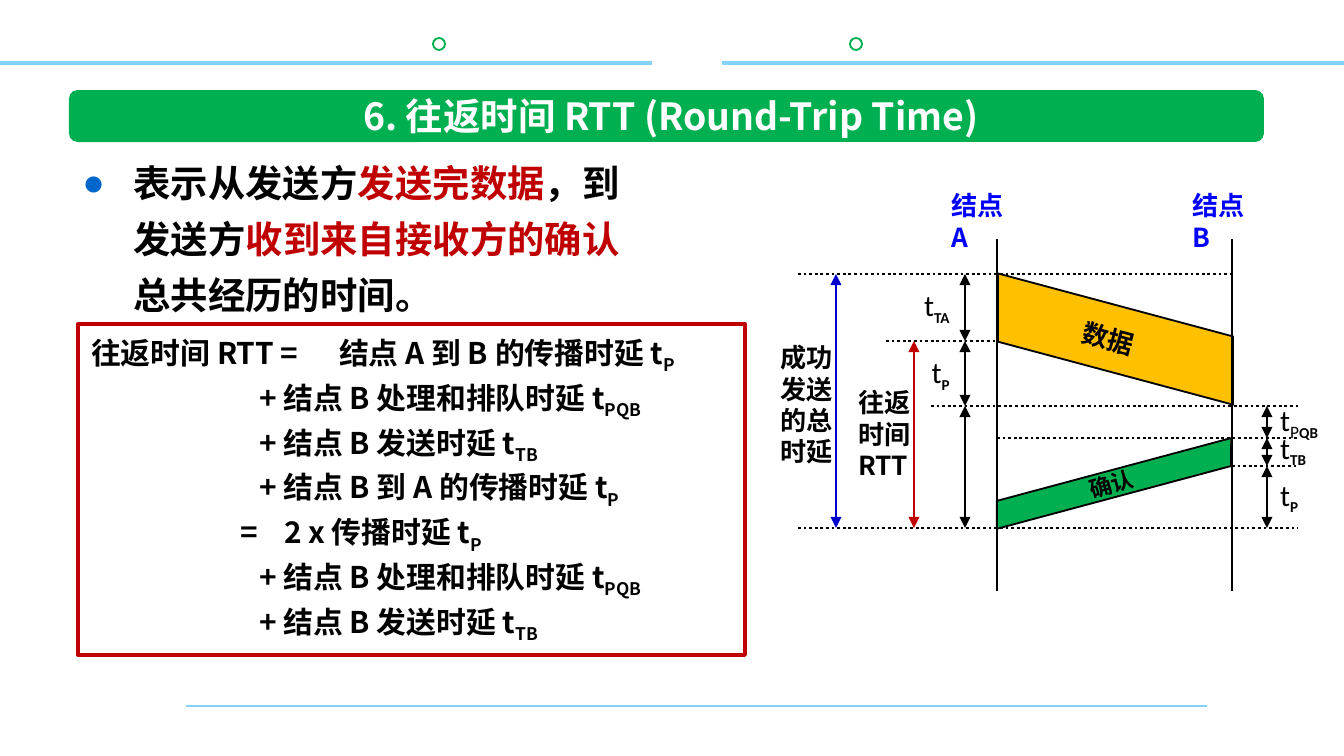
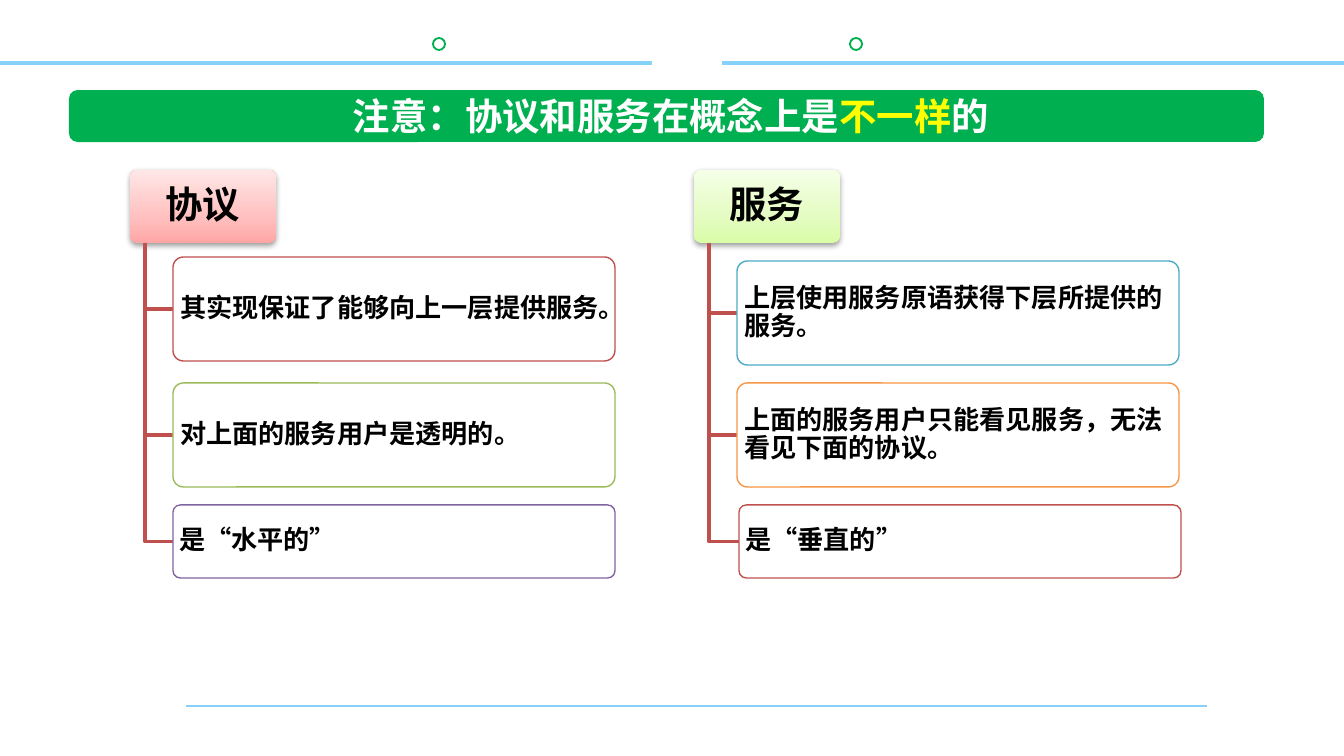
from copy import deepcopy
from dataclasses import dataclass

from lxml.etree import SubElement
from pptx import Presentation
from pptx.dml.color import RGBColor
from pptx.enum.dml import MSO_LINE
from pptx.enum.shapes import MSO_CONNECTOR, MSO_SHAPE
from pptx.enum.text import MSO_ANCHOR, MSO_AUTO_SIZE, PP_ALIGN
from pptx.oxml.ns import qn
from pptx.util import Pt

EMU_PER_PX = 9144000 / 1344


def px(length):
    return round(length * EMU_PER_PX)


@dataclass(frozen=True)
class Theme:
    font: str = "Noto Sans CJK SC"
    symbol_font: str = "Calibri"
    black: str = "000000"
    white: str = "FFFFFF"
    green: str = "00B050"
    sky: str = "85D1F7"
    bullet: str = "0066CC"
    red: str = "C00000"
    yellow: str = "FFFF00"
    amber: str = "FFC000"
    node: str = "0000FF"
    total: str = "0000CC"
    branch: str = "C0504D"
    olive: str = "9BBB59"
    purple: str = "8064A2"
    teal: str = "4BACC6"
    orange: str = "F79646"
    pink_stops: tuple = ("FFA6A5", "FFC0BF", "FFE7E7")
    lime_stops: tuple = ("DAFDA7", "E4FCC2", "F5FFE7")
    heading: int = 20
    formula: int = 16
    label: int = 14
    small: int = 12


THEME = Theme()


@dataclass(frozen=True)
class Box:
    left: int
    top: int
    width: int
    height: int

    def inner(self, left, top, width, height):
        return Box(self.left + left, self.top + top, width, height)

    def emu(self):
        return [px(v) for v in (self.left, self.top, self.width, self.height)]


SLIDE = Box(0, 0, 1344, 756)
BAND = Box(69, 90, 1195, 52)


# Text helpers
def apply(target, values):
    for name, value in values.items():
        setattr(target, name, value)


def add_span(para, text, size, color=THEME.black, bold=True, font=THEME.font, base=0):
    span = para.add_run()
    span.text = text
    apply(span.font, {"size": Pt(size), "bold": bold, "name": font})
    span.font.color.rgb = RGBColor.from_string(color)
    props = span.font._element
    SubElement(props, qn("a:ea")).set("typeface", THEME.font)
    if base:
        props.set("baseline", str(base * 1000))


def write(frame, lines, size, align=PP_ALIGN.LEFT, anchor=MSO_ANCHOR.TOP,
          inset=None, spacing=None):
    """Each line is a list of (text, format) spans."""
    apply(frame, {"word_wrap": True, "auto_size": MSO_AUTO_SIZE.NONE,
                  "vertical_anchor": anchor})
    if inset is not None:
        apply(frame, {f"margin_{side}": px(inset)
                      for side in ("left", "top", "right", "bottom")})
    for index, spans in enumerate(lines):
        para = frame.add_paragraph() if index else frame.paragraphs[0]
        apply(para, {"alignment": align, "space_before": Pt(0)})
        if spacing:
            para.line_spacing = spacing
        for text, look in spans:
            add_span(para, text, **{"size": size, **look})


def add_label(shapes, box, lines, size=THEME.label, align=PP_ALIGN.LEFT, turn=0):
    label = shapes.add_textbox(*box.emu())
    label.rotation = turn
    write(label.text_frame, lines, size, align)


# Shape helpers
def outline(shape, color, weight):
    shape.line.color.rgb = RGBColor.from_string(color)
    shape.line.width = Pt(weight)


def add_shape(shapes, kind, box, fill=None, line=None, weight=1, adjust=None, turn=0):
    shape = shapes.add_shape(kind, *box.emu())
    shape.shadow.inherit = False
    shape.rotation = turn
    if adjust is not None:
        shape.adjustments[0] = adjust
    if fill:
        shape.fill.solid()
        shape.fill.fore_color.rgb = RGBColor.from_string(fill)
    if line:
        outline(shape, line, weight)
    else:
        shape.line.fill.background()
    return shape


def add_line(shapes, start, end, color=THEME.black, weight=1.5, dotted=False, arrows=False):
    ends = [px(value) for value in (*start, *end)]
    line = shapes.add_connector(MSO_CONNECTOR.STRAIGHT, *ends)
    outline(line, color, weight)
    if dotted:
        line.line.dash_style = MSO_LINE.ROUND_DOT
    if arrows:
        for tag in ("a:headEnd", "a:tailEnd"):
            SubElement(line.line._get_or_add_ln(), qn(tag)).set("type", "triangle")
    SubElement(line._element.spPr, qn("a:effectLst"))
    return line


# Shared frame, kept on the slide master
def draw_frame(page, box):
    shapes = page.shapes
    pieces = [add_shape(shapes, MSO_SHAPE.OVAL, box.inner(left, 38, 12, 12),
                        THEME.white, THEME.green) for left in (433, 850)]
    for left, right, top, weight in ((186, 1207, 706, 1.5), (0, 1344, 63, 2)):
        pieces.append(add_line(shapes, (box.left + left, box.top + top),
                               (box.left + right, box.top + top), THEME.sky, weight))
    pieces.append(add_shape(shapes, MSO_SHAPE.RECTANGLE, box.inner(652, 19, 70, 69),
                            THEME.white))
    pieces.append(add_shape(shapes, MSO_SHAPE.ROUNDED_RECTANGLE, BAND,
                            THEME.green, adjust=0.167))
    master_tree = page.slide_layout.slide_master.shapes._spTree
    for number, piece in enumerate(pieces, start=100):
        piece._element.xpath(".//p:cNvPr")[0].set("id", str(number))
        master_tree.append(piece._element)


def move(shape, box):
    apply(shape, dict(zip(("left", "top", "width", "height"), box.emu())))


def draw_title(page, box, spans):
    title = page.shapes.title
    move(title, box.inner(115, 0, 974, 52))
    white = [(text, {"color": THEME.white, **look}) for text, look in spans]
    write(title.text_frame, [white], THEME.heading, PP_ALIGN.CENTER, MSO_ANCHOR.MIDDLE)


# Round-trip time slide
def draw_definition(page, box):
    body = page.placeholders[1]
    move(body, box)
    props = body.text_frame.paragraphs[0]._p.get_or_add_pPr()
    props.set("marL", str(px(51)))
    props.set("indent", str(-px(51)))
    color = SubElement(props, qn("a:buClr"))
    SubElement(color, qn("a:srgbClr")).set("val", THEME.bullet)
    SubElement(props, qn("a:buChar")).set("char", "●")
    red = {"color": THEME.red}
    spans = [("表示从发送方", {}), ("发送完数据", red), ("，到发送方", {}),
             ("收到来自接收方的确认", red), ("总共经历的时间。", {})]
    write(body.text_frame, [spans], THEME.heading, spacing=Pt(30))


def draw_formula(page, box):
    panel = add_shape(page.shapes, MSO_SHAPE.RECTANGLE, box, THEME.white, THEME.red, 2)
    queue = ("\t+ 结点 B 处理和排队时延 t", "PQB", (168,))
    send = ("\t+ 结点 B 发送时延 t", "TB", (168,))
    terms = [("往返时间 RTT =\t结点 A 到 B 的传播时延 t", "P", (248,)),
             queue, send,
             ("\t+ 结点 B 到 A 的传播时延 t", "P", (168,)),
             ("\t=\t2 x 传播时延 t", "P", (149, 193)),
             queue, send]
    lines = [[(text, {}), (sub, {"base": -25})] for text, sub, _ in terms]
    write(panel.text_frame, lines, THEME.formula, spacing=Pt(24))
    for para, (_, _, stops) in zip(panel.text_frame.paragraphs, terms):
        tabs = SubElement(para._p.get_or_add_pPr(), qn("a:tabLst"))
        for stop in stops:
            tab = SubElement(tabs, qn("a:tab"))
            tab.set("pos", str(px(stop)))
            tab.set("algn", "l")


def draw_timing(page, box):
    shapes = page.shapes
    start, sent, arrived, processed, replied, end = 91, 158, 223, 255, 283, 345
    node_a, node_b, right = 230, 465, 531

    def line(x1, y1, x2, y2, **look):
        add_line(shapes, (box.left + x1, box.top + y1), (box.left + x2, box.top + y2), **look)

    # Time levels
    for row, x1, x2 in ((arrived, 164, right), (processed, node_a, right), (end, 31, right),
                        (replied, node_b, right), (start, 31, node_b), (sent, 119, node_a)):
        line(x1, row, x2, row, dotted=True)

    # Packets and node axes
    data = add_shape(shapes, MSO_SHAPE.PARALLELOGRAM, box.inner(218, 123, 261, 66),
                     THEME.amber, THEME.black, adjust=0.269, turn=15)
    data._element.spPr.find(qn("a:xfrm")).set("flipV", "1")
    add_shape(shapes, MSO_SHAPE.PARALLELOGRAM, box.inner(222, 287, 250, 27),
              THEME.green, THEME.black, adjust=0.269, turn=345)
    for axis in (node_a, node_b):
        line(axis, 56, axis, 408)

    # Durations
    for x, top, bottom, color in (
            (198, start, sent, THEME.black), (198, sent, arrived, THEME.black),
            (198, arrived, end, THEME.black), (147, sent, end, THEME.red),
            (500, replied, end, THEME.black), (500, arrived, processed, THEME.black),
            (500, processed, replied, THEME.black), (69, start, end, THEME.total)):
        line(x, top, x, bottom, color=color, arrows=True)

    # Names
    blue = {"color": THEME.node}
    for left, text in ((171, "结点 A"), (412, "结点 B")):
        add_label(shapes, box.inner(left, 0, 100, 46), [[(text, blue)]])
    add_label(shapes, box.inner(301, 133, 80, 46), [[("数据", {})]],
              align=PP_ALIGN.CENTER, turn=15)
    add_label(shapes, box.inner(308, 281, 73, 40), [[("确认", {})]],
              THEME.small, PP_ALIGN.CENTER, 344)
    add_label(shapes, box.inner(78, 197, 84, 109),
              [[(text, {})] for text in ("往返", "时间", "RTT")])
    add_label(shapes, box.inner(0, 152, 82, 140), [[("成功发送的总时延", {})]])

    # Delay symbols
    plain = {"size": THEME.formula, "bold": False, "font": THEME.symbol_font}
    lowered = {"font": THEME.symbol_font, "base": -25}
    for left, top, subs, align in (
            (129, 97, [("TA", lowered)], PP_ALIGN.RIGHT),
            (129, 164, [("P", lowered)], PP_ALIGN.RIGHT),
            (500, 287, [("P", lowered)], PP_ALIGN.LEFT),
            (500, 212, [("P", {**plain, "base": -25}), ("QB", lowered)], PP_ALIGN.LEFT),
            (500, 240, [("TB", lowered)], PP_ALIGN.LEFT)):
        width = 67 if len(subs) == 1 else 77
        add_label(shapes, box.inner(left, top, width, 50), [[("t", plain), *subs]], align=align)


# Comparison slide
def draw_heading(page, box, text, colors):
    heading = add_shape(page.shapes, MSO_SHAPE.ROUNDED_RECTANGLE, box, adjust=0.1)
    heading.fill.gradient()
    heading.fill.gradient_angle = 90
    stop_list = heading._element.spPr.find(".//" + qn("a:gsLst"))
    stop_list.insert(1, deepcopy(stop_list[0]))
    for stop, color, position in zip(heading.fill.gradient_stops, colors, (0, 0.35, 1)):
        stop.color.rgb = RGBColor.from_string(color)
        stop.position = position
    effects = heading._element.spPr.find(qn("a:effectLst"))
    shadow = SubElement(effects, qn("a:outerShdw"), blurRad="40000", dist="20000",
                        dir="5400000", rotWithShape="0")
    shade = SubElement(shadow, qn("a:srgbClr"), val=THEME.black)
    SubElement(shade, qn("a:alpha"), val="38000")
    write(heading.text_frame, [[(text, {})]], THEME.heading, PP_ALIGN.CENTER,
          MSO_ANCHOR.MIDDLE, 4, 0.9)


def draw_column(page, box, title, colors, cards):
    draw_heading(page, box.inner(0, 0, 146, 73), title, colors)
    for left, top, height, color, text in cards:
        middle = box.top + top + height / 2
        spine = px(box.left + 15)
        elbow = page.shapes.build_freeform(spine, px(box.top + 73))
        elbow.add_line_segments([(spine, px(middle)), (px(box.left + left), px(middle))],
                                close=False)
        branch = elbow.convert_to_shape()
        branch.shadow.inherit = False
        branch.fill.background()
        outline(branch, THEME.branch, 2)

        card = add_shape(page.shapes, MSO_SHAPE.ROUNDED_RECTANGLE,
                         box.inner(left, top, 442, height), THEME.white, color, 0.75, 0.1)
        paint = card._element.spPr.find(qn("a:solidFill"))[0]
        SubElement(paint, qn("a:alpha"), val="90000")
        write(card.text_frame, [[(text, {})]], THEME.label,
              anchor=MSO_ANCHOR.MIDDLE, inset=4, spacing=0.9)


def main():
    deck = Presentation()
    deck.slide_width, deck.slide_height = px(SLIDE.width), px(SLIDE.height)

    page = deck.slides.add_slide(deck.slide_layouts[1])
    draw_frame(page, SLIDE)
    draw_title(page, BAND, [("6. 往返时间 RTT (Round-Trip Time)", {})])
    draw_definition(page, Box(69, 142, 597, 466))
    draw_formula(page, Box(78, 324, 667, 331))
    draw_timing(page, Box(767, 183, 577, 408))

    page = deck.slides.add_slide(deck.slide_layouts[5])
    draw_title(page, BAND, [("注意：协议和服务在概念上是", {}),
                            ("不一样", {"color": THEME.yellow}), ("的", {})])
    draw_column(page, Box(130, 170, 485, 409), "协议", THEME.pink_stops, [
        (43, 87, 104, THEME.branch, "其实现保证了能够向上一层提供服务。"),
        (43, 213, 104, THEME.olive, "对上面的服务用户是透明的。"),
        (43, 335, 73, THEME.purple, "是“水平的”")])
    draw_column(page, Box(694, 170, 487, 409), "服务", THEME.lime_stops, [
        (43, 91, 104, THEME.teal, "上层使用服务原语获得下层所提供的服务。"),
        (43, 213, 104, THEME.orange, "上面的服务用户只能看见服务，无法看见下面的协议。"),
        (45, 335, 73, THEME.branch, "是“垂直的”")])
    deck.save("out.pptx")


if __name__ == "__main__":
    main()
